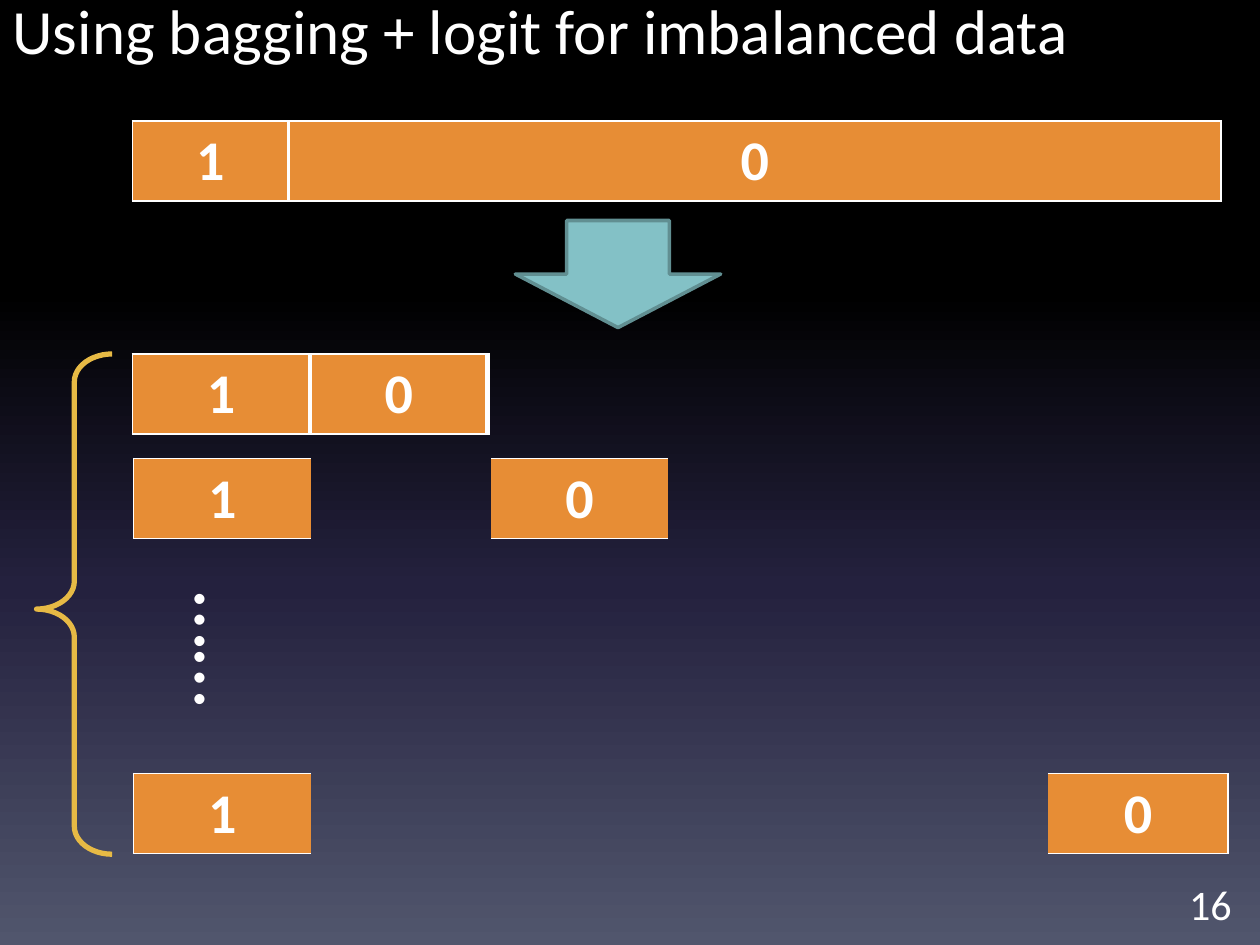
"""Build the slide on bagging with logit for imbalanced data."""
from lxml import etree
from pptx import Presentation
from pptx.dml import color
from pptx.enum import shapes, text
from pptx.oxml import ns
from pptx.util import Inches, Pt

COLORS = {
    "text": "FFFFFF",
    "bar": "E78D35",
    "brace": "E7BA45",
    "arrow": "83C1C6",
    "arrow_line": "618F92",
}
BACKGROUND = [(0, "000000"), (31, "000000"), (62, "24213E"), (100, "51566D")]
NO_STYLE = "{2D5ABB26-0587-4C30-8999-92F81FD0307C}"
BAR_FONT = {"name": "Calibri", "size": Pt(32), "bold": True}
NARROW = 0.53
BAR_HEIGHT = 0.63

# Each bar: left, top, column widths, {column: (label, {side: border width})}
BARS = [
    (1.05, 0.96, [1.24, 7.4],
     {0: ("1", {"L": 1, "R": 2.25}), 1: ("0", {"L": 2.25, "R": 1})}),
    (1.05, 2.81, [1.41, 1.41] + [NARROW] * 11,
     {0: ("1", {"L": 1, "R": 3}), 1: ("0", {"L": 3})}),
    (1.06, 3.64, [1.41, 1.43, 1.4, 0.23, 0.24, 0.23] + [NARROW] * 7,
     {0: ("1", {"L": 1}), 2: ("0", {})}),
    (1.06, 6.14, [1.41, 0.36] + [NARROW] * 8 + [0.23, NARROW, 0.23, 0.23, 1.43],
     {0: ("1", {"L": 1}), 14: ("0", {"R": 1})}),
]


def rgb(name):
    """Return the named colour."""
    return color.RGBColor.from_string(COLORS[name])


def apply_format(target, values):
    """Set each attribute of the target from a dict."""
    for name, value in values.items():
        setattr(target, name, value)


def add_element(parent, tag, **attributes):
    """Append a DrawingML element with attributes."""
    return etree.SubElement(parent, ns.qn(tag), attributes)


def write(frame, words, font, align=text.PP_ALIGN.LEFT):
    """Write one formatted line into a text frame."""
    para = frame.paragraphs[0]
    para.alignment = align
    span = para.add_run()
    span.text = words
    apply_format(span.font, font)
    span.font.color.rgb = rgb("text")


def paint_background(page):
    """Fill the page with the vertical gradient."""
    fill = page.background.fill
    fill.gradient()
    fill.gradient_angle = 270
    stops = page.background._cSld.find(".//" + ns.qn("a:gsLst"))
    for stop in list(stops):
        stops.remove(stop)
    for position, value in BACKGROUND:
        stop = add_element(stops, "a:gs", pos=str(position * 1000))
        add_element(stop, "a:srgbClr", val=value)


def add_title(page, words):
    """Place the title at the top left."""
    title = page.shapes.title
    apply_format(title, {"left": Inches(0), "top": Inches(-0.12),
                         "width": Inches(9), "height": Inches(1.25)})
    apply_format(title.text_frame, {"vertical_anchor": text.MSO_ANCHOR.TOP,
                                    "word_wrap": True})
    write(title.text_frame, words, {"name": "Calibri", "size": Pt(36)})


def add_text(page, area, words, size):
    """Add a text box and return its frame."""
    box = page.shapes.add_textbox(*map(Inches, area))
    box.text_frame.word_wrap = True
    write(box.text_frame, words, {"name": "Calibri", "size": Pt(size)})
    return box.text_frame


def set_borders(cell, widths):
    """Draw the given sides of a cell in white."""
    properties = cell._tc.get_or_add_tcPr()
    for side in "LRTB":
        if side in widths:
            line = add_element(properties, "a:ln" + side, w=str(Pt(widths[side])))
            fill = add_element(line, "a:solidFill")
            add_element(fill, "a:srgbClr", val=COLORS["text"])


def add_bar(page, left, top, widths, labels):
    """Add a one-row table whose labelled cells are filled."""
    frame = page.shapes.add_table(1, len(widths), Inches(left), Inches(top),
                                  Inches(sum(widths)), Inches(BAR_HEIGHT))
    table = frame.table
    apply_format(table, {"first_row": False, "horz_banding": False})
    table._tbl.tblPr.find(ns.qn("a:tableStyleId")).text = NO_STYLE
    for index, width in enumerate(widths):
        table.columns[index].width = Inches(width)
        cell = table.cell(0, index)
        if index in labels:
            label, sides = labels[index]
            set_borders(cell, {"T": 1, "B": 1, **sides})
            cell.fill.solid()
            cell.fill.fore_color.rgb = rgb("bar")
            write(cell.text_frame, label, BAR_FONT, text.PP_ALIGN.CENTER)
        else:
            cell.fill.background()


def add_figure(page, kind, area, line, width, fill=None, adjustments=()):
    """Add a preset shape without shadow."""
    figure = page.shapes.add_shape(kind, *map(Inches, area))
    figure.shadow.inherit = False
    for index, value in enumerate(adjustments):
        figure.adjustments[index] = value
    if fill:
        figure.fill.solid()
        figure.fill.fore_color.rgb = rgb(fill)
    else:
        figure.fill.background()
    figure.line.color.rgb = rgb(line)
    figure.line.width = Pt(width)


def main():
    """Build and save the deck."""
    deck = Presentation()
    apply_format(deck, {"slide_width": Inches(10), "slide_height": Inches(7.5)})
    page = deck.slides.add_slide(deck.slide_layouts[5])
    paint_background(page)
    add_title(page, "Using bagging + logit for imbalanced data")
    add_text(page, (9.34, 6.92, 0.56, 0.38), "16", 24)
    for bar in BARS:
        add_bar(page, *bar)
    dots = add_text(page, (1.31, 4.6, 1.01, 1.37), "……", 48)
    apply_format(dots, {"vertical_anchor": text.MSO_ANCHOR.MIDDLE,
                        "auto_size": text.MSO_AUTO_SIZE.SHAPE_TO_FIT_TEXT})
    dots._txBody.bodyPr.set("vert", "eaVert")
    add_figure(page, shapes.MSO_SHAPE.LEFT_BRACE, (0.29, 2.81, 0.6, 3.97),
               "brace", 3, adjustments=(0.37, 0.51))
    add_figure(page, shapes.MSO_SHAPE.DOWN_ARROW, (4.09, 1.75, 1.63, 0.85),
               "arrow_line", 2, fill="arrow")
    deck.save("out.pptx")


if __name__ == "__main__":
    main()
